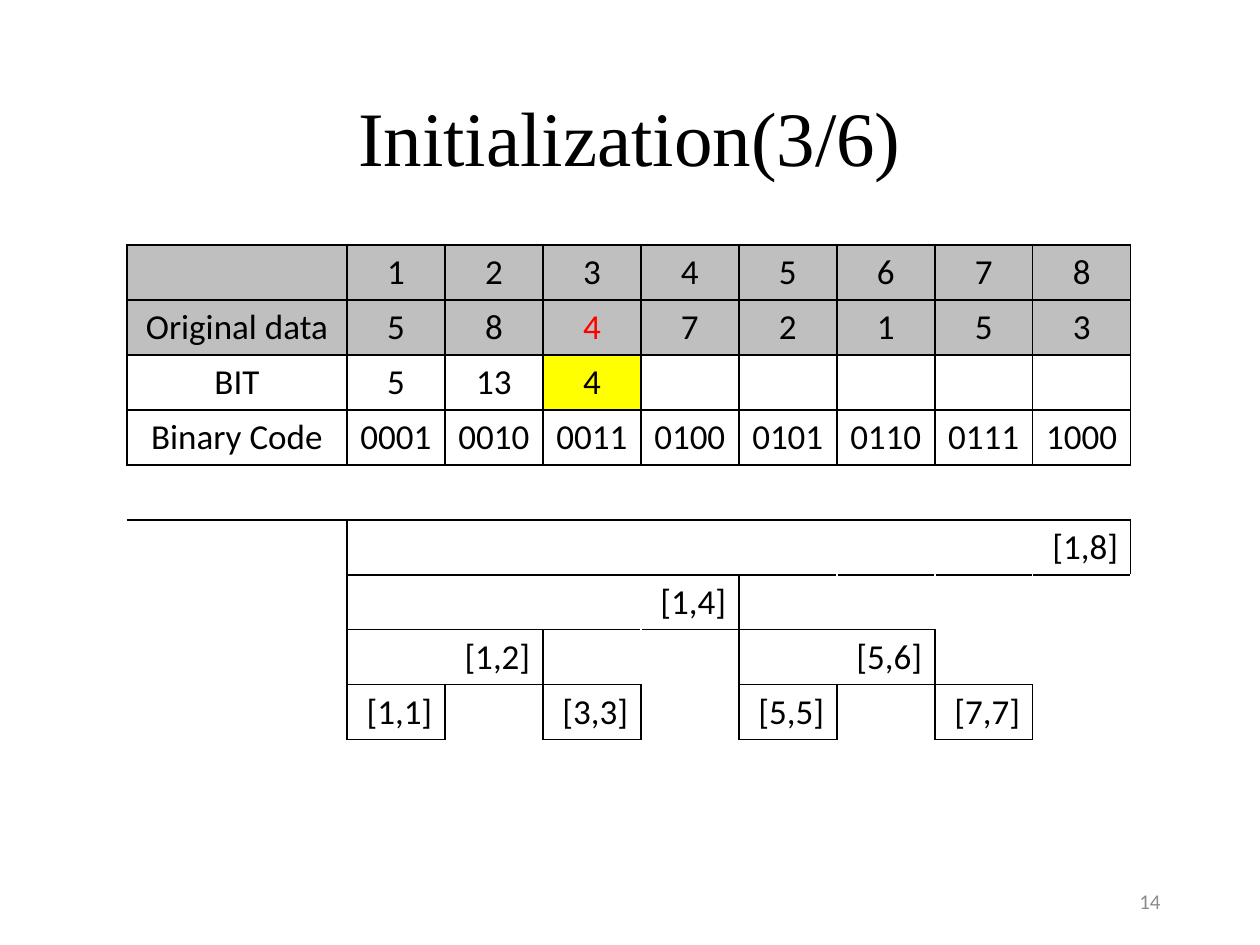
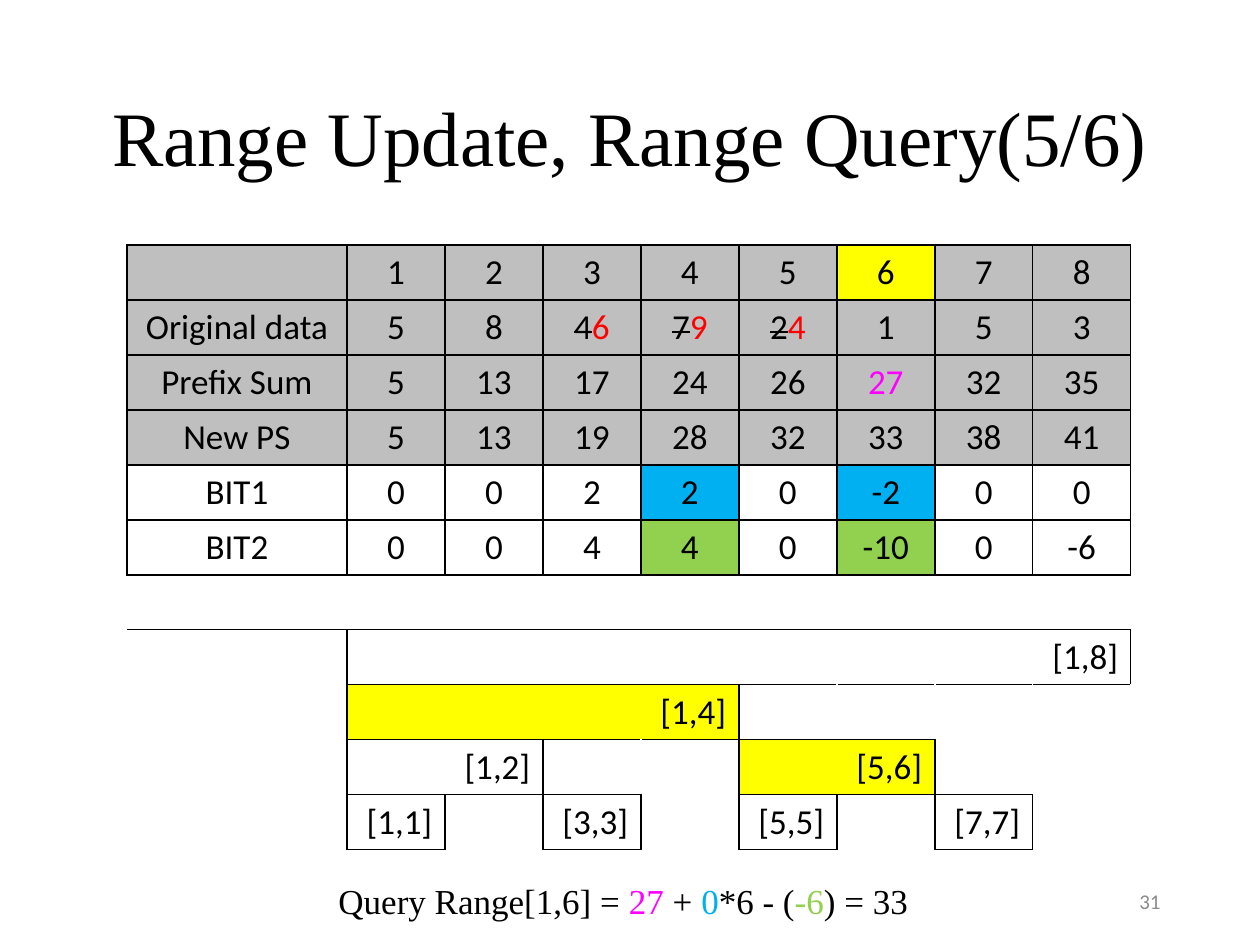
from lxml.etree import SubElement
from pptx import Presentation
from pptx.dml.color import RGBColor
from pptx.enum.text import MSO_ANCHOR, MSO_AUTO_SIZE, PP_ALIGN
from pptx.oxml.ns import qn
from pptx.util import Emu, Pt

PX_PER_INCH = 126
BLACK, WHITE, SHADE, NUMBER_GRAY = "000000", "FFFFFF", "BFBFBF", "8C8C8C"
RED, YELLOW, MAGENTA, BLUE, GREEN = "FF0000", "FFFF00", "FF00FF", "00B0F0", "92D050"
SERIF, SANS = "Times New Roman", "Calibri"
NO_STYLE = "{2D5ABB26-0587-4C30-8999-92F81FD0307C}"
ITEMS = 8
LABEL_WIDTH, ITEM_WIDTH, ROW_HEIGHT = 220, 98, 55
TABLE_LEFT, TABLE_TOP = 127, 245
SIDES = {"lnL": (0, -1), "lnR": (0, 1), "lnT": (-1, 0), "lnB": (1, 0)}


def px(length):
    """Turn pixels into EMU."""
    return Emu(round(length * 914400 / PX_PER_INCH))


def color(hex_code):
    """Turn a hex string into a colour."""
    return RGBColor.from_string(hex_code)


def place(shape, left, top, width, height):
    """Set the position and size of a shape in pixels."""
    shape.left, shape.top = px(left), px(top)
    shape.width, shape.height = px(width), px(height)


def write_spans(para, spans, size, font, align):
    """Fill a paragraph with (text, colour, struck) spans."""
    para.alignment = align
    for text, hex_code, struck in spans:
        span = para.add_run()
        span.text = text
        span.font.size = Pt(size)
        span.font.name = font
        span.font.color.rgb = color(hex_code)
        if struck:
            span.font._element.set("strike", "sngStrike")


def plain(text, hex_code=BLACK):
    """Return one unstruck span in a list."""
    return [(text, hex_code, False)]


def replaced(before, after):
    """Return a struck value followed by its new value in red."""
    return [(before, BLACK, True), (after, RED, False)]


def add_title(page, text):
    """Place and fill the title placeholder."""
    title = page.shapes.title
    place(title, 87, 50, 1086, 183)
    frame = title.text_frame
    frame.word_wrap = True
    frame.auto_size = MSO_AUTO_SIZE.NONE
    frame.vertical_anchor = MSO_ANCHOR.MIDDLE
    para = frame.paragraphs[0]
    para.line_spacing = 0.9
    write_spans(para, plain(text), 44, SERIF, PP_ALIGN.CENTER)


def add_page_number(page, number):
    """Add the page number at the lower right."""
    box = page.shapes.add_textbox(px(890), px(876), px(283), px(50))
    frame = box.text_frame
    frame.word_wrap = True
    frame.vertical_anchor = MSO_ANCHOR.MIDDLE
    write_spans(frame.paragraphs[0], plain(str(number), NUMBER_GRAY), 12, SANS, PP_ALIGN.RIGHT)


def add_query(page, spans):
    """Add the query formula below the table."""
    box = page.shapes.add_textbox(px(326), px(873), px(598), px(55))
    frame = box.text_frame
    frame.word_wrap = False
    frame.auto_size = MSO_AUTO_SIZE.SHAPE_TO_FIT_TEXT
    write_spans(frame.paragraphs[0], spans, 20, SERIF, PP_ALIGN.LEFT)


def tree_ranges(first_row):
    """Yield row, start and length of each range that the tree stores."""
    for level, length in enumerate((8, 4, 2, 1)):
        for start in range(1, ITEMS + 1, 2 * length):
            yield first_row + level, start, length


def add_border(cell, side, hex_code):
    """Draw one side of a cell."""
    line = SubElement(cell._tc.get_or_add_tcPr(), qn(f"a:{side}"), w=str(Pt(1)))
    fill = SubElement(line, qn("a:solidFill"))
    SubElement(fill, qn("a:srgbClr"), val=hex_code)


def draw_borders(table, boxed, first_tree_row):
    """Outline boxed cells in black and blank tree cells in white."""
    for row in range(len(table.rows)):
        for column in range(ITEMS + 1):
            for side, (down, right) in SIDES.items():
                if (row, column) in boxed or (row + down, column + right) in boxed:
                    add_border(table.cell(row, column), side, BLACK)
                elif row >= first_tree_row and column:
                    add_border(table.cell(row, column), side, WHITE)


def fill_cell(cell, content, align, fill):
    """Write a string or spans into a cell and paint it."""
    cell.vertical_anchor = MSO_ANCHOR.MIDDLE
    cell.fill.solid()
    cell.fill.fore_color.rgb = color(fill)
    if content:
        spans = plain(content) if isinstance(content, str) else content
        write_spans(cell.text_frame.paragraphs[0], spans, 20, SANS, align)


def add_index_table(page, data_rows, shaded_rows, highlights):
    """Add the data rows and, one row below, the tree of ranges."""
    rows = [["", *map(str, range(1, ITEMS + 1))], *data_rows]
    first_tree_row = len(rows) + 1
    row_count = first_tree_row + 4
    frame = page.shapes.add_table(
        row_count, ITEMS + 1, px(TABLE_LEFT), px(TABLE_TOP),
        px(LABEL_WIDTH + ITEMS * ITEM_WIDTH), px(row_count * ROW_HEIGHT))
    table = frame.table
    table.first_row = table.horz_banding = False
    table._tbl.tblPr.find(qn("a:tableStyleId")).text = NO_STYLE
    for index, column in enumerate(table.columns):
        column.width = px(ITEM_WIDTH if index else LABEL_WIDTH)
    for row in table.rows:
        row.height = px(ROW_HEIGHT)

    ranges = list(tree_ranges(first_tree_row))
    boxed = {(row, column) for row in range(len(rows)) for column in range(ITEMS + 1)}
    boxed |= {(row, start + step) for row, start, length in ranges for step in range(length)}
    draw_borders(table, boxed, first_tree_row)

    for row, contents in enumerate(rows):
        base = SHADE if row < shaded_rows else WHITE
        for column, content in enumerate(contents):
            fill = highlights.get((row, column), base)
            fill_cell(table.cell(row, column), content, PP_ALIGN.CENTER, fill)
    for row, start, length in ranges:
        end = start + length - 1
        cell = table.cell(row, start)
        if length > 1:
            cell.merge(table.cell(row, end))
        fill = highlights.get((row, start), WHITE)
        fill_cell(cell, f"[{start},{end}]", PP_ALIGN.RIGHT, fill)


def add_page(deck, title, number):
    """Add a page with its title and number."""
    page = deck.slides.add_slide(deck.slide_layouts[5])
    add_title(page, title)
    add_page_number(page, number)
    return page


def build_initialization(deck):
    """Build the page on filling the third entry."""
    page = add_page(deck, "Initialization(3/6)", 14)
    codes = [format(index, "04b") for index in range(1, ITEMS + 1)]
    data_rows = [
        ["Original data", "5", "8", plain("4", RED), "7", "2", "1", "5", "3"],
        ["BIT", "5", "13", "4", "", "", "", "", ""],
        ["Binary Code", *codes],
    ]
    add_index_table(page, data_rows, 2, {(2, 3): YELLOW})


def build_range_query(deck):
    """Build the page on the query after a range update."""
    page = add_page(deck, "Range Update, Range Query(5/6)", 31)
    data_rows = [
        ["Original data", "5", "8", replaced("4", "6"), replaced("7", "9"),
         replaced("2", "4"), "1", "5", "3"],
        ["Prefix Sum", "5", "13", "17", "24", "26", plain("27", MAGENTA), "32", "35"],
        ["New PS", "5", "13", "19", "28", "32", "33", "38", "41"],
        ["BIT1", "0", "0", "2", "2", "0", "-2", "0", "0"],
        ["BIT2", "0", "0", "4", "4", "0", "-10", "0", "-6"],
    ]
    highlights = {
        (0, 6): YELLOW, (4, 4): BLUE, (4, 6): BLUE, (5, 4): GREEN, (5, 6): GREEN,
        (8, 1): YELLOW, (9, 5): YELLOW,
    }
    add_index_table(page, data_rows, 4, highlights)
    add_query(page, [
        *plain("Query Range[1,6] = "), *plain("27", MAGENTA), *plain(" + "),
        *plain("0", BLUE), *plain("*6 - ("), *plain("-6", GREEN), *plain(") = 33"),
    ])


def main():
    """Build and save the deck."""
    deck = Presentation()
    deck.slide_width, deck.slide_height = px(1260), px(945)
    build_initialization(deck)
    build_range_query(deck)
    deck.save("out.pptx")


if __name__ == "__main__":
    main()
